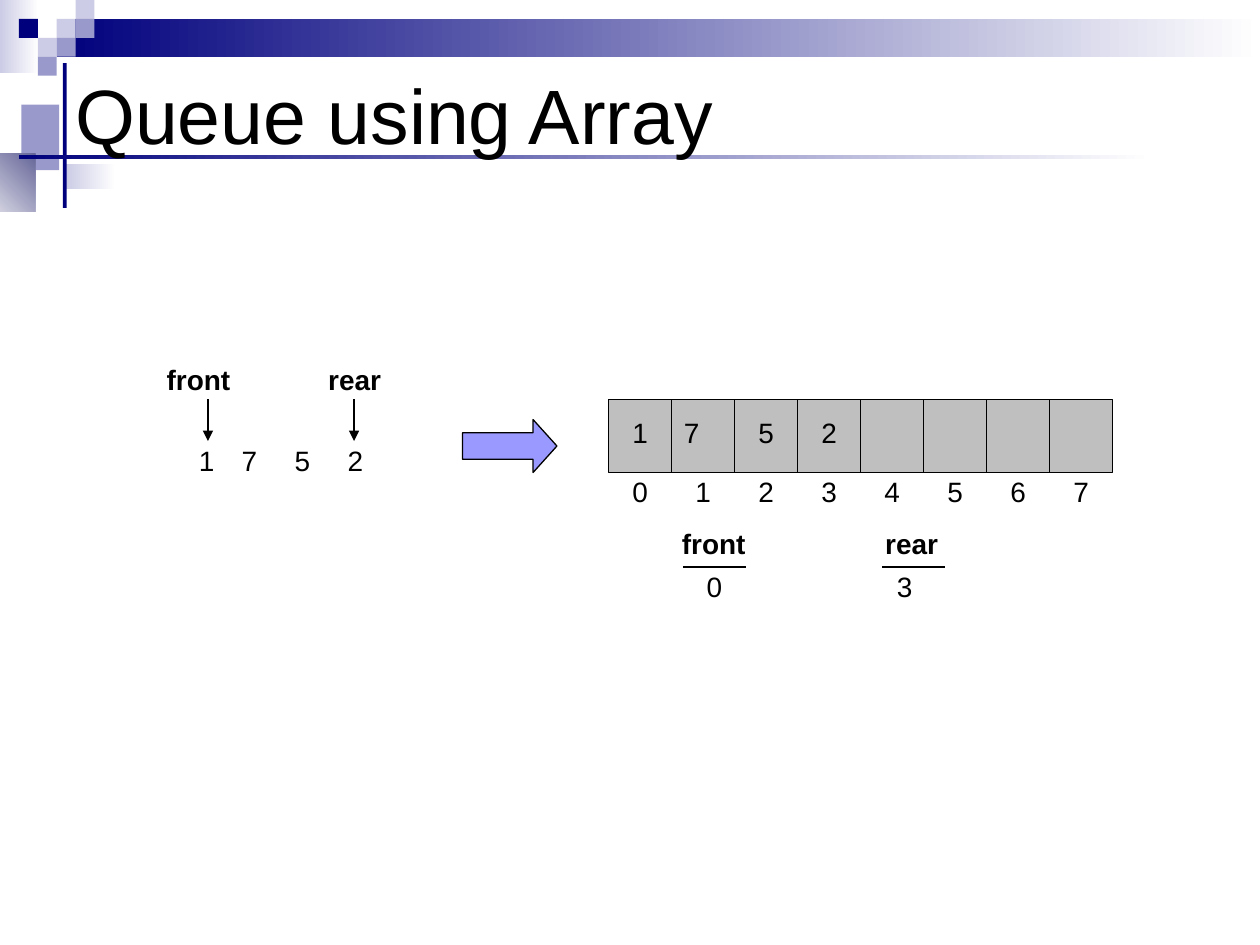
import pptx
import pptx.dml.color
import pptx.enum.shapes
import pptx.enum.text
import pptx.oxml
import pptx.oxml.ns
import pptx.util
from pptx.util import Inches

NAVY, LAVENDER, PERIWINKLE = "00007D", "CCCCE6", "9999CC"
SLATE, WHITE, BLACK = "666699", "FFFFFF", "000000"
SHAPES = pptx.enum.shapes.MSO_SHAPE
ALIGN = pptx.enum.text.PP_ALIGN
ANCHOR = pptx.enum.text.MSO_ANCHOR


def color(hex_value):
    return pptx.dml.color.RGBColor.from_string(hex_value)


def apply(target, values):
    """Set each named attribute of target."""
    for name, value in values.items():
        setattr(target, name, value)


class SlideBuilder:
    font = "Arial"
    text_size = 16
    line_width = 0.75

    def __init__(self, page):
        self.page = page

    def shape(self, kind, left, top, width, height, fill, outlined=False):
        """Draw a preset shape; fill is one colour or (start, end, angle)."""
        box = self.page.shapes.add_shape(
            kind, Inches(left), Inches(top), Inches(width), Inches(height))
        box.shadow.inherit = False
        if isinstance(fill, str):
            box.fill.solid()
            box.fill.fore_color.rgb = color(fill)
        else:
            *ends, angle = fill
            box.fill.gradient()
            box.fill.gradient_angle = angle
            for stop, end in zip(box.fill.gradient_stops, ends):
                stop.color.rgb = color(end)
        if outlined:
            self.outline(box)
        else:
            box.line.fill.background()
        return box

    def outline(self, item):
        item.line.color.rgb = color(BLACK)
        item.line.width = pptx.util.Pt(self.line_width)

    def text(self, words, left, top, width, height=0.37, size=text_size,
             bold=False, align=ALIGN.CENTER, anchor=ANCHOR.TOP, wrap=False):
        box = self.page.shapes.add_textbox(
            Inches(left), Inches(top), Inches(width), Inches(height))
        apply(box.text_frame, {"word_wrap": wrap, "vertical_anchor": anchor})
        para = box.text_frame.paragraphs[0]
        para.alignment = align
        span = para.add_run()
        span.text = words
        apply(span.font, {"name": self.font, "size": pptx.util.Pt(size), "bold": bold})
        span.font.color.rgb = color(BLACK)

    def line(self, x1, y1, x2, y2, arrow=False):
        link = self.page.shapes.add_connector(
            pptx.enum.shapes.MSO_CONNECTOR.STRAIGHT,
            Inches(x1), Inches(y1), Inches(x2), Inches(y2))
        self.outline(link)
        if arrow:
            tail = pptx.oxml.parse_xml(
                f'<a:tailEnd {pptx.oxml.ns.nsdecls("a")} type="triangle"/>')
            link.line._get_or_add_ln().append(tail)
        link._element.spPr.append(
            pptx.oxml.parse_xml(f'<a:effectLst {pptx.oxml.ns.nsdecls("a")}/>'))
        return link


def draw_decoration(slide):
    tile = 0.15
    slide.shape(SHAPES.RECTANGLE, 0, 0, 0.31, 0.58, (LAVENDER, WHITE, 0))
    slide.shape(SHAPES.RECTANGLE, 0.45, tile, 9.55, 0.3, (NAVY, WHITE, 0))
    tiles = [(3, 1, LAVENDER), (4, 0, LAVENDER), (4, 1, PERIWINKLE), (2, 2, LAVENDER),
             (1, 1, NAVY), (3, 2, PERIWINKLE), (2, 3, PERIWINKLE)]
    for column, row, fill in tiles:
        slide.shape(SHAPES.RECTANGLE, column * tile, row * tile, tile, tile, fill)
    for *place, fill in [
        (0.17, 0.83, 0.3, 0.52, PERIWINKLE),
        (0.52, 1.3, 0.4, 0.2, (LAVENDER, WHITE, 0)),
        (-0.33, 1.22, 0.61, 0.46, (WHITE, SLATE, 45)),
        (0.5, 0.5, 0.03, 1.15, NAVY),
        (0.15, 1.23, 9, 0.03, (NAVY, WHITE, 0)),
    ]:
        slide.shape(SHAPES.RECTANGLE, *place, fill)


def draw_queue(slide):
    for value, left in zip("1752", (1.48, 1.82, 2.24, 2.66)):
        slide.text(value, left, 3.47, 0.32)
    for name, left, width, arrow_x in (("front", 1.22, 0.71, 1.65), ("rear", 2.5, 0.63, 2.81)):
        slide.text(name, left, 2.83, width, bold=True)
        slide.line(arrow_x, 3.17, arrow_x, 3.5, arrow=True)
    arrow = slide.shape(SHAPES.RIGHT_ARROW, 3.67, 3.33, 0.75, 0.42, "9999FF", outlined=True)
    arrow.adjustments[1] = 0.45


def draw_array(slide):
    left, top, cell, height, count = 4.83, 3.17, 0.5, 0.58, 8
    array = slide.shape(SHAPES.RECTANGLE, left, top, cell * count, height, "BFBFBF", outlined=True)
    for index in range(count):
        x = left + index * cell
        slide.text(str(index), x + 0.09, 3.72, 0.32)
        if index:
            divider = slide.line(x, top, x, top + height)
            if index == count / 2:
                divider.begin_connect(array, 0)
                divider.end_connect(array, 2)
    for value, x, width in zip("1752", (4.92, 5.33, 5.92, 6.42), (0.27, 0.42, 0.27, 0.31)):
        slide.text(value, x, 3.25, width, align=ALIGN.LEFT, wrap=True)
    for name, name_x, value, value_x, rule_x in (
            ("front", 5.31, "0", 5.51, 5.42), ("rear", 6.88, "3", 7.02, 7)):
        slide.text(name, name_x, 4.13, 0.71, bold=True)
        slide.line(rule_x, 4.5, rule_x + cell, 4.5)
        slide.text(value, value_x, 4.47, 0.32)


def main():
    deck = pptx.Presentation()
    apply(deck, {"slide_width": Inches(10), "slide_height": Inches(7.5)})
    slide = SlideBuilder(deck.slides.add_slide(deck.slide_layouts[6]))
    draw_decoration(slide)
    slide.text("Queue using Array", 0.5, 0.4, 9, 1, size=44,
               align=ALIGN.LEFT, anchor=ANCHOR.MIDDLE, wrap=True)
    draw_queue(slide)
    draw_array(slide)
    deck.save("out.pptx")


if __name__ == "__main__":
    main()
